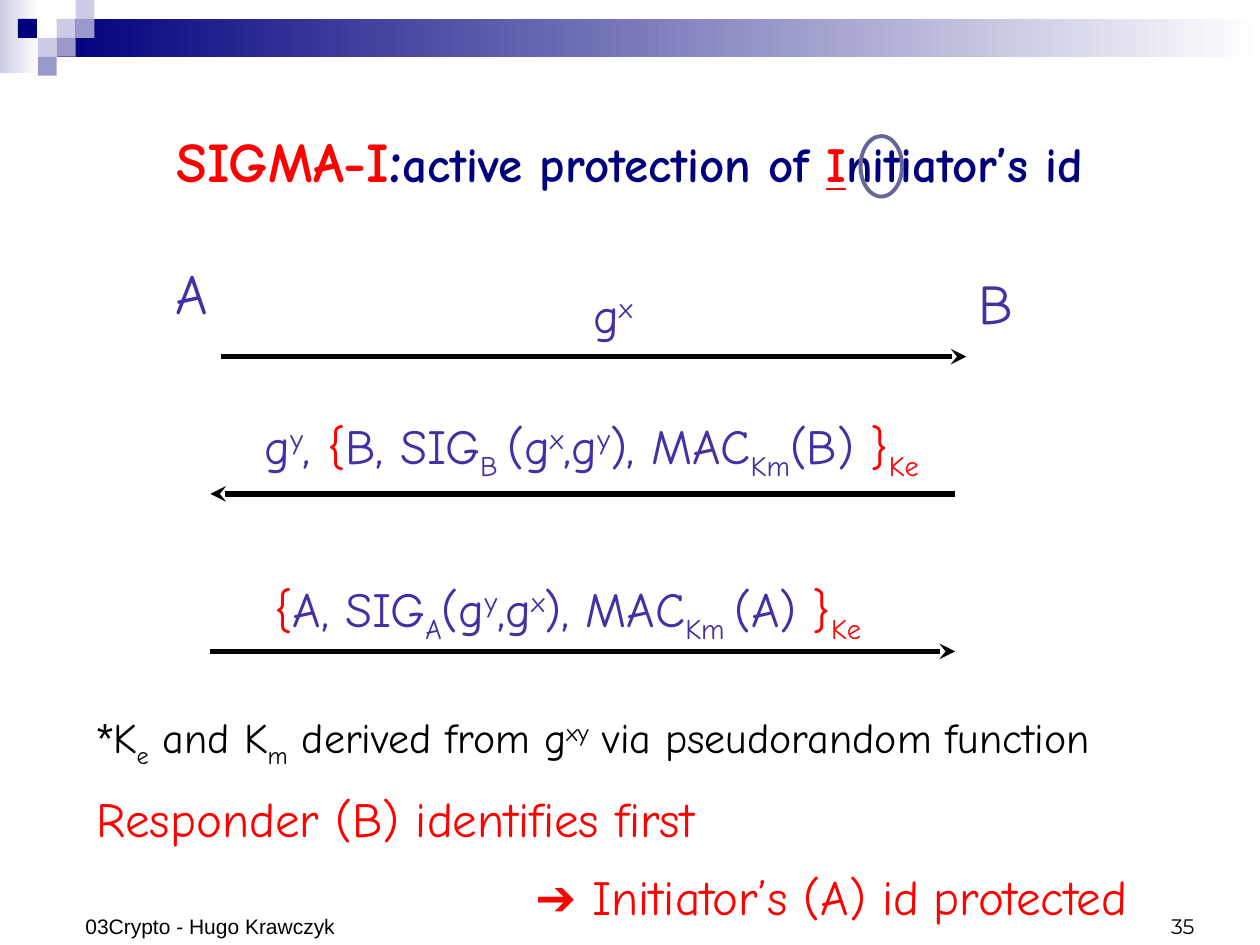
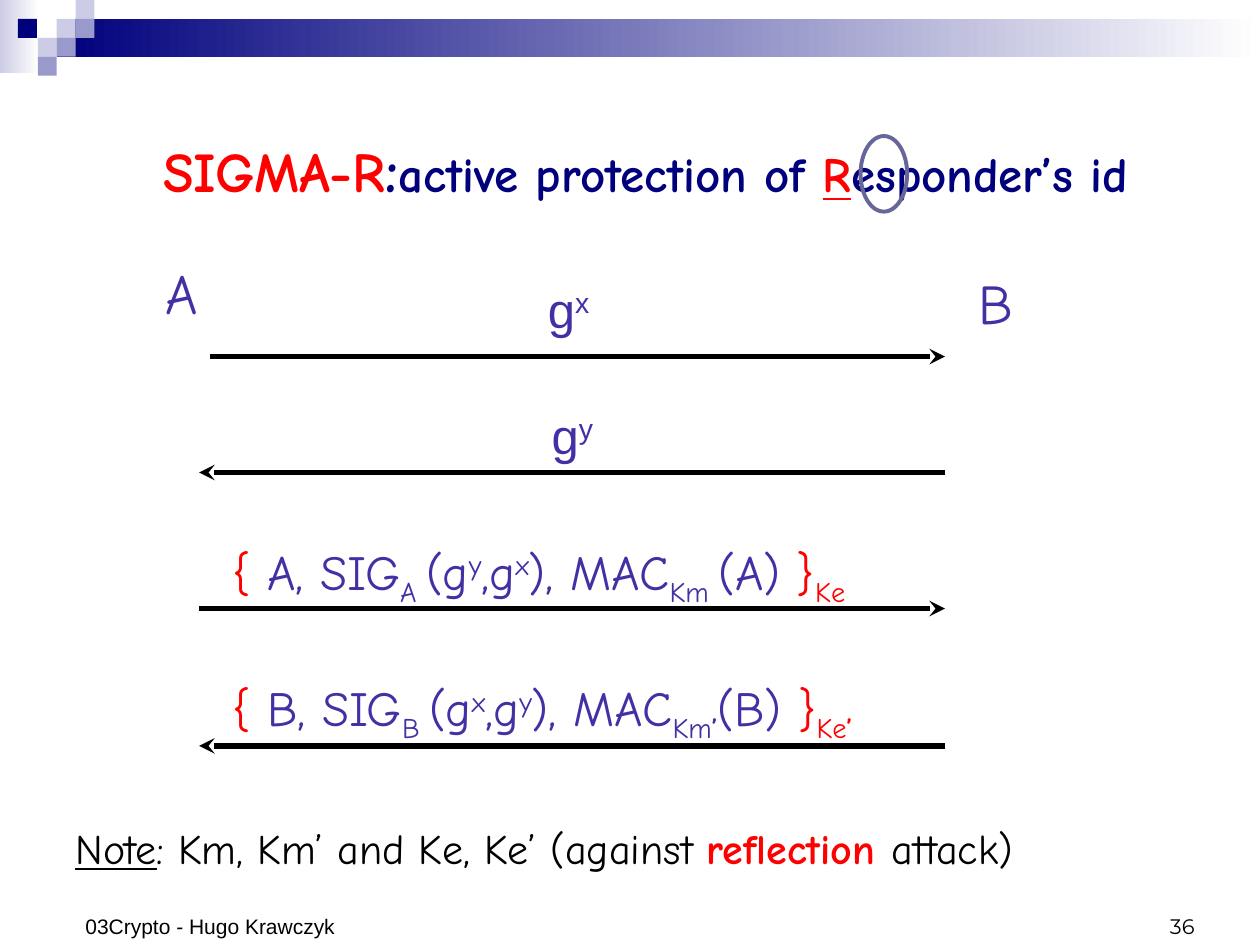
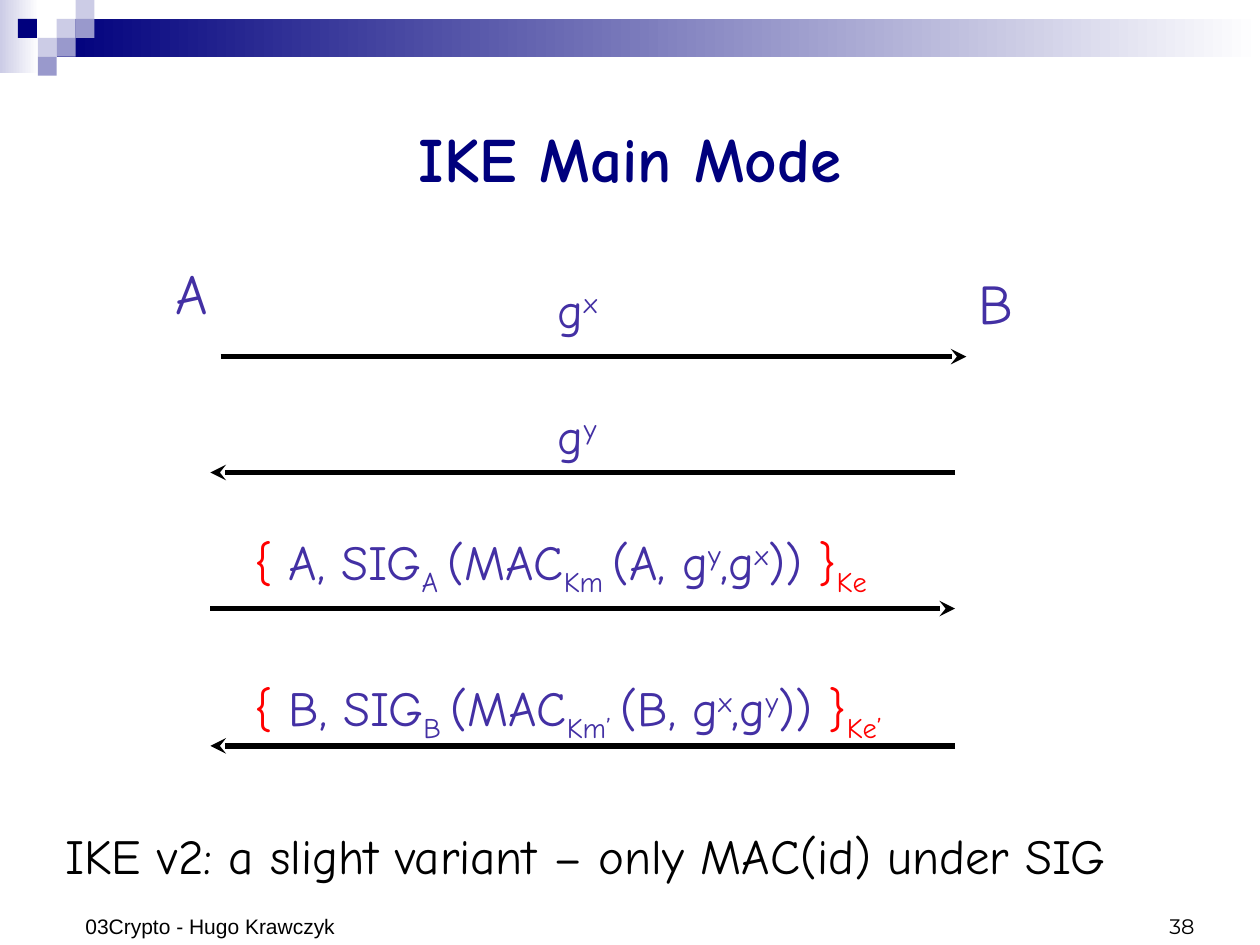
from dataclasses import dataclass

from lxml.etree import SubElement
from pptx import Presentation
from pptx.dml.color import RGBColor
from pptx.enum.shapes import MSO_CONNECTOR, MSO_SHAPE
from pptx.enum.text import MSO_ANCHOR, MSO_AUTO_SIZE, PP_ALIGN
from pptx.oxml.ns import qn
from pptx.util import Inches, Pt


@dataclass(frozen=True)
class Theme:
    navy: str = "00007D"
    lilac: str = "9999CC"
    pale: str = "CCCCE6"
    white: str = "FFFFFF"
    ring: str = "666699"
    ink: str = "4330A4"
    red: str = "FF0000"
    black: str = "000000"
    hand: str = "Comic Neue"
    sans: str = "Arial"
    digit: str = "Montserrat"
    huge: int = 36
    big: int = 32
    mid: int = 28
    note: int = 24
    foot: int = 12


T = Theme()

HEAD = {"name": T.hand, "size": T.mid, "color": T.navy, "bold": True}
FLOW = {"name": T.hand, "size": T.mid, "color": T.ink}
SIDE = {**FLOW, "size": T.big}
NOTE = {"name": T.hand, "size": T.note, "color": T.black}
FOOT = {"name": T.sans, "size": T.foot, "color": T.black}
PAGE = {**FOOT, "name": T.digit}

MARKS = {
    "^": {"base": 30000},
    "_": {"base": -25000},
    "!": {"color": T.red},
    "@": {"bold": True},
    "~": {"underline": True},
    "=": {"name": T.sans},
    "+": {"size": T.huge},
    "<": {"size": T.big},
    ">": {"size": T.mid},
    "-": {"size": T.note},
}

FADES = [((0, 0, 0.31, 0.58), T.pale), ((0.45, 0.15, 9.55, 0.3), T.navy)]
CELL = 0.15
CELLS = [
    (3, 1, T.pale), (4, 0, T.pale), (4, 1, T.lilac), (2, 2, T.pale),
    (0.95, 1, T.navy), (3, 2, T.lilac), (2, 3, T.lilac),
]

SLIDES = [
    {
        "title": "!<SIGMA-I|+:|active protection of |!~I|nitiator’s id",
        "frame": (0.5, 0.5, 9, 1.5),
        "ring": (6.83, 1.08, 0.33, 0.48),
        "side": 1,
        "lines": [(1.75, 7.67, 2.83), (7.58, 1.67, 3.92), (1.67, 7.58, 5.17)],
        "flow": [
            (4.61, 2.21, "g|^x"),
            (2, 3.25, "g|^y|, |!{|B, SIG|_B |(g|^x|,g|^y|), MAC|_Km|(B)|! }|!_Ke"),
            (2.08, 4.54, "!{|A, SIG|_A|(g|^y|,g|^x|), MAC|_Km |(A) |!}|!_Ke"),
        ],
        "box": (0.67, 5.6, 8.92, 1.79),
        "notes": [
            ("=*|K|_e| and K|_m| derived from g|^xy| via pseudorandom function", {}),
            ("!>Responder (B) identifies first", {"line_spacing": 0.8, "space_before": Pt(17.5)}),
            ("!>=➔|!> Initiator’s (A) id|!- |!>protected",
             {"line_spacing": 0.8, "space_before": Pt(17.5), "indent": 3.48}),
        ],
        "page": "35",
    },
    {
        "title": "!<SIGMA-R|+:|active protection of |!~R|esponder’s id",
        "frame": (0.5, 0.58, 9.25, 1.5),
        "ring": (6.83, 1.08, 0.37, 0.6),
        "side": 0.92,
        "lines": [(1.67, 7.5, 2.83), (7.5, 1.58, 3.75), (1.58, 7.5, 4.83), (7.5, 1.58, 5.92)],
        "flow": [
            (4.25, 2.17, "=g|=^x"),
            (4.28, 3.17, "=g|=^y"),
            (1.75, 4.25, "!{ |A, SIG|_A |(g|^y|,g|^x|), MAC|_Km |(A) |!}|!_Ke"),
            (1.75, 5.33, "!{| B, SIG|_B |(g|^x|,g|^y|), MAC|_Km|_@’|(B) |!}|!_Ke|!_@’"),
        ],
        "box": (0.5, 6.42, 9.08, 0.57),
        "notes": [("~Note|: Km, Km’ and Ke, Ke’ (against |!@reflection|> |attack)", {})],
        "page": "36",
    },
    {
        "title": "+IKE Main Mode",
        "frame": (0.5, 0.5, 9, 1.5),
        "ring": None,
        "side": 1,
        "lines": [(1.75, 7.67, 2.83), (7.58, 1.67, 3.75), (1.67, 7.58, 4.83), (7.58, 1.67, 5.92)],
        "flow": [
            (4.33, 2.17, "g|^x"),
            (4.33, 3.17, "g|^y"),
            (1.92, 4.17, "!{| A, SIG|_A |(MAC|_Km |(A, g|^y|,g|^x|)) |!}|!_Ke"),
            (1.92, 5.33, "!{ |B, SIG|_B |(MAC|_Km’ |(B, g|^x|,g|^y|)) |!}|!_Ke’"),
        ],
        "box": (0.42, 6.5, 9.25, 0.57),
        "notes": [(">IKE v2: a slight variant – only MAC(id) under SIG", {})],
        "page": "38",
    },
]


def rgb(code):
    return RGBColor.from_string(code)


def inch(nums):
    return [Inches(num) for num in nums]


def style(run, look):
    for key, value in look.items():
        if key == "color":
            run.font.color.rgb = rgb(value)
        elif key == "base":
            run.font._element.set("baseline", str(value))
        else:
            setattr(run.font, key, Pt(value) if key == "size" else value)


def write(para, text, look, form):
    for key, value in form.items():
        if key == "indent":
            para._p.get_or_add_pPr().set("marL", str(Inches(value)))
        else:
            setattr(para, key, value)
    for part in text.split("|"):
        mix = dict(look)
        while part[0] in MARKS:
            mix.update(MARKS[part[0]])
            part = part[1:]
        run = para.add_run()
        run.text = part
        style(run, mix)


def fill_text(frame, paras, look, anchor):
    form = {"word_wrap": True, "auto_size": MSO_AUTO_SIZE.NONE, "vertical_anchor": anchor}
    for key, value in form.items():
        setattr(frame, key, value)
    for num, (text, form) in enumerate(paras):
        para = frame.add_paragraph() if num else frame.paragraphs[0]
        write(para, text, look, form)


def label(slide, box, paras, look, anchor=MSO_ANCHOR.TOP):
    shape = slide.shapes.add_textbox(*inch(box))
    fill_text(shape.text_frame, paras, look, anchor)


def block(slide, kind, box):
    shape = slide.shapes.add_shape(kind, *inch(box))
    shape.shadow.inherit = False
    return shape


def arrow(slide, start, end, y):
    line = slide.shapes.add_connector(MSO_CONNECTOR.STRAIGHT, *inch((start, y, end, y)))
    line.line.color.rgb = rgb(T.black)
    line.line.width = Pt(3)
    SubElement(line.line._get_or_add_ln(), qn("a:tailEnd"), type="stealth")
    SubElement(line._element.spPr, qn("a:effectLst"))


def band(slide, layout):
    parts = []
    for box, color in FADES:
        shape = block(slide, MSO_SHAPE.RECTANGLE, box)
        shape.fill.gradient()
        shape.fill.gradient_angle = 0
        for stop, tone in zip(shape.fill.gradient_stops, (color, T.white)):
            stop.color.rgb = rgb(tone)
        parts.append(shape)
    for col, row, color in CELLS:
        shape = block(slide, MSO_SHAPE.RECTANGLE, (col * CELL, row * CELL, CELL, CELL))
        shape.fill.solid()
        shape.fill.fore_color.rgb = rgb(color)
        parts.append(shape)
    for shape in parts:
        shape.line.fill.background()
        layout.shapes.element.append(shape.element) if hasattr(layout.shapes, "element") \
            else layout.element.cSld.spTree.append(shape.element)


def build(slide, data):
    title = slide.shapes.title
    for key, value in zip(("left", "top", "width", "height"), inch(data["frame"])):
        setattr(title, key, value)
    fill_text(title.text_frame, [(data["title"], {"alignment": PP_ALIGN.CENTER})],
              HEAD, MSO_ANCHOR.MIDDLE)
    right = {"alignment": PP_ALIGN.RIGHT}
    for name, box in (("A", (data["side"], 2, 0.75, 0.64)), ("B", (7.67, 2.08, 0.42, 0.64))):
        label(slide, box, [(name, right)], SIDE)
    for line in data["lines"]:
        arrow(slide, *line)
    for left, top, text in data["flow"]:
        label(slide, (left, top, 6.08, 0.63), [(text, {})], FLOW)
    label(slide, data["box"], data["notes"], NOTE)
    if data["ring"]:
        ring = block(slide, MSO_SHAPE.OVAL, data["ring"])
        ring.fill.background()
        ring.line.color.rgb = rgb(T.ring)
        ring.line.width = Pt(2.25)
    label(slide, (7.25, 7, 2.33, 0.5), [(data["page"], right)], PAGE, MSO_ANCHOR.BOTTOM)
    label(slide, (0.58, 6.98, 2.33, 0.52), [("03Crypto - Hugo Krawczyk", {})],
          FOOT, MSO_ANCHOR.BOTTOM)


def main():
    deck = Presentation()
    deck.slide_width, deck.slide_height = inch((10, 7.5))
    layout = deck.slide_layouts[5]
    for num, data in enumerate(SLIDES):
        slide = deck.slides.add_slide(layout)
        if num == 0:
            band(slide, layout)
        build(slide, data)
    deck.save("out.pptx")


if __name__ == "__main__":
    main()
